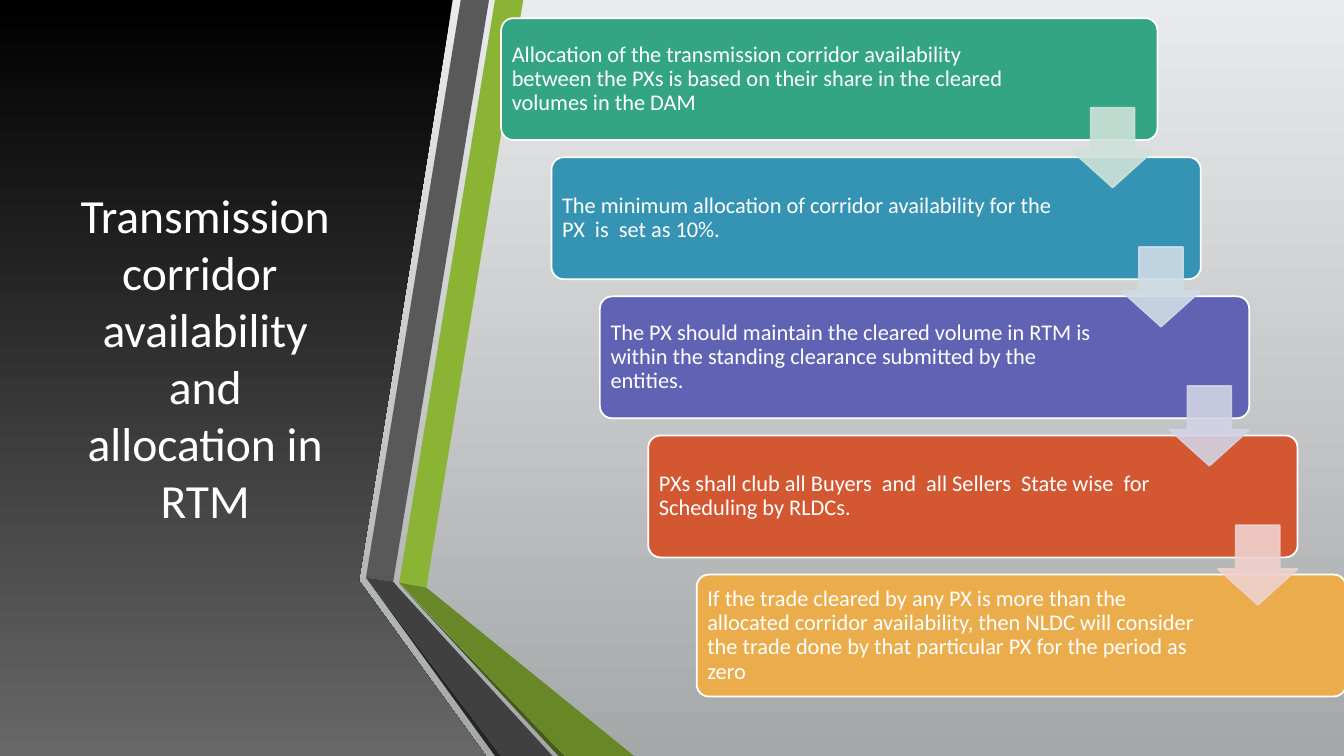
from lxml import etree
from pptx import Presentation
from pptx import util as u
from pptx.dml.color import RGBColor
from pptx.enum import shapes, text
from pptx.oxml import ns

SCALE = 9144
FONT = "Calibri"
WHITE = RGBColor(0xFF, 0xFF, 0xFF)
BLACK = RGBColor(0x00, 0x00, 0x00)
PANEL_GREY = RGBColor(0x67, 0x67, 0x67)
SKY_LIGHT = RGBColor(0xE9, 0xEA, 0xEB)
SKY_DARK = RGBColor(0xA5, 0xA8, 0xA9)
GREEN = RGBColor(0x8B, 0xB4, 0x34)
GREEN_FOLD = RGBColor(0x68, 0x87, 0x27)
GREEN_EDGE = RGBColor(0x46, 0x5A, 0x1A)
GREY = RGBColor(0x59, 0x59, 0x59)
GREY_FOLD = RGBColor(0x40, 0x40, 0x40)
GREY_EDGE = RGBColor(0x26, 0x26, 0x26)

TITLE = "Transmission corridor  availability and allocation in RTM"
PANEL = [(0, 0), (449, 0), (356, 576), (482, 750), (0, 750)]
RIBBONS = [
    (GREEN, [(33, 578), (60, 583), (156, 0), (128, 0)]),
    (GREY, [(122, 0), (94, 0), (0, 573), (27, 577)]),
    (GREY_EDGE, [(0, 573), (128, 750), (134, 750)]),
    (GREEN_EDGE, [(33, 579), (191, 750), (197, 750)]),
    (GREEN_FOLD, [(33, 578), (197, 750), (266, 750), (60, 583)]),
    (GREY_FOLD, [(185, 750), (32, 583), (27, 577), (0, 573), (134, 750)]),
]
STEPS = [
    ("Allocation of the transmission corridor availability between the PXs is based on "
     "their share in the cleared volumes in the DAM",
     RGBColor(0x33, 0xA5, 0x83), RGBColor(0xCE, 0xE1, 0xD9)),
    ("The minimum allocation of corridor availability for the PX  is  set as 10%.",
     RGBColor(0x35, 0x94, 0xB4), RGBColor(0xCE, 0xDC, 0xE5)),
    ("The PX should maintain the cleared volume in RTM is within the standing clearance "
     "submitted by the entities.",
     RGBColor(0x60, 0x63, 0xB4), RGBColor(0xD2, 0xD3, 0xE5)),
    ("PXs shall club all Buyers  and  all Sellers  State wise  for Scheduling by RLDCs.",
     RGBColor(0xD3, 0x57, 0x31), RGBColor(0xEF, 0xD1, 0xCE)),
    ("If the trade cleared by any PX is more than the allocated corridor availability, "
     "then NLDC will consider the trade done by that particular PX for the period as zero",
     RGBColor(0xEB, 0xAC, 0x4B), None),
]


def px(length):
    """Turn px into EMU."""
    return u.Emu(length * SCALE)


def shade_down(fill, top_colour, bottom_colour):
    """Give a fill a gradient running from top to bottom."""
    fill.gradient()
    fill.gradient_angle = 270
    for stop, colour in zip(fill.gradient_stops, (top_colour, bottom_colour)):
        stop.color.rgb = colour


def write(frame, wording, size):
    """Put one white run into a vertically centred frame."""
    frame.word_wrap = True
    frame.auto_size = text.MSO_AUTO_SIZE.NONE
    frame.vertical_anchor = text.MSO_ANCHOR.MIDDLE
    paragraph = frame.paragraphs[0]
    run = paragraph.add_run()
    run.text = wording
    run.font.name, run.font.size = FONT, u.Pt(size)
    run.font.color.rgb = WHITE
    return paragraph


def add_outline(slide, left, top, points):
    """Draw a closed, unlined outline offset by left and top."""
    corners = [(left + x, top + y) for x, y in points]
    builder = slide.shapes.build_freeform(*corners[0], scale=SCALE)
    builder.add_line_segments(corners[1:], close=True)
    outline = builder.convert_to_shape()
    outline.shadow.inherit = False
    outline.line.fill.background()
    return outline


def add_title_panel(slide, left, top):
    """Draw the dark panel with its title."""
    panel = add_outline(slide, left, top, PANEL)
    shade_down(panel.fill, BLACK, PANEL_GREY)
    title = slide.shapes.title
    slide.shapes.element.append(title.element)
    title.left, title.top = px(left + 59), px(top + 75)
    title.width, title.height = px(289), px(558)
    paragraph = write(title.text_frame, TITLE, 34)
    paragraph.alignment = text.PP_ALIGN.CENTER


def add_ribbons(slide, left, top):
    """Draw the folded green and grey ribbons."""
    for colour, points in RIBBONS:
        ribbon = add_outline(slide, left, top, points)
        ribbon.fill.solid()
        ribbon.fill.fore_color.rgb = colour


def add_block(slide, preset, box, adjustments, fill, line):
    """Add a preset shape with a plain fill and a thin line."""
    block = slide.shapes.add_shape(preset, *map(px, box))
    for index, value in enumerate(adjustments):
        block.adjustments[index] = value
    block.shadow.inherit = False
    block.fill.solid()
    block.fill.fore_color.rgb = fill
    block.line.color.rgb = line
    block.line.width = u.Pt(1.25)
    return block


def add_step(slide, left, top, width, wording, colour):
    """Add one step card, keeping its right end free for the arrow."""
    card = add_block(slide, shapes.MSO_SHAPE.ROUNDED_RECTANGLE,
                     (left, top, width, 121), [0.1], colour, WHITE)
    frame = card.text_frame
    frame.margin_left = frame.margin_top = frame.margin_bottom = px(7)
    frame.margin_right = px(134)
    paragraph = write(frame, wording, 16)
    paragraph.alignment = text.PP_ALIGN.LEFT
    paragraph.line_spacing = 0.9


def add_step_arrow(slide, left, top, colour):
    """Add a slightly transparent arrow leading to the next step."""
    arrow = add_block(slide, shapes.MSO_SHAPE.DOWN_ARROW,
                      (left, top, 79, 79), [0.55, 0.45], colour, colour)
    for tint in arrow.element.spPr.iter(ns.qn("a:srgbClr")):
        etree.SubElement(tint, ns.qn("a:alpha"), val="90000")


def add_staircase(slide, left, top):
    """Lay the steps out as a descending staircase with arrows between them."""
    stride, drop = 48, 138
    for index, (wording, colour, _) in enumerate(STEPS):
        lead = 2 if index == 0 else 0
        width = 651 if index == 0 else 644
        add_step(slide, left + index * stride - lead, top + index * drop,
                 width, wording, colour)
    for index, (_, _, tint) in enumerate(STEPS[:-1]):
        add_step_arrow(slide, left + 565 + index * stride,
                       top + 89 + index * drop, tint)


def main():
    """Build and save the slide."""
    deck = Presentation()
    deck.slide_width, deck.slide_height = px(1333), px(750)
    slide = deck.slides.add_slide(deck.slide_layouts[5])
    shade_down(slide.background.fill, SKY_LIGHT, SKY_DARK)
    add_title_panel(slide, 0, 0)
    add_ribbons(slide, 363, 0)
    add_staircase(slide, 499, 18)
    deck.save("out.pptx")


if __name__ == "__main__":
    main()
